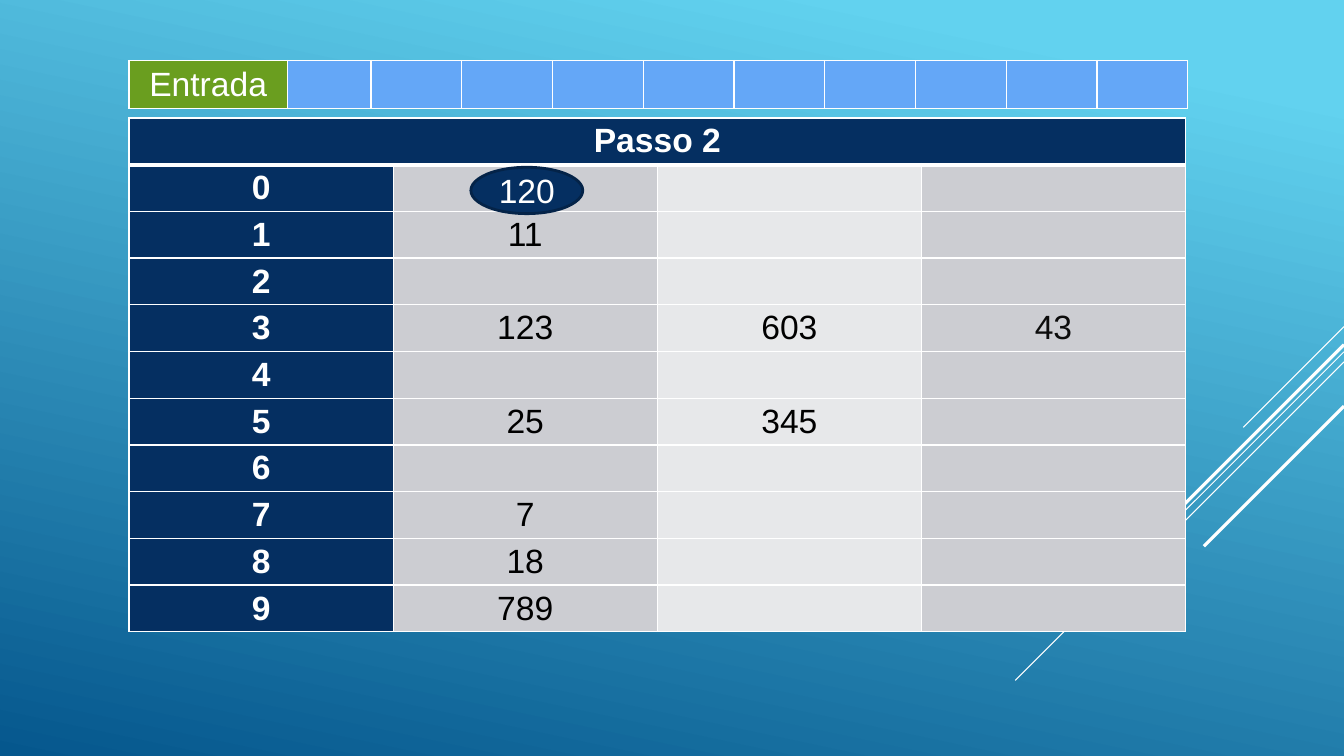
from lxml.etree import SubElement
from pptx import Presentation
from pptx.dml.color import RGBColor
from pptx.enum.shapes import MSO_CONNECTOR, MSO_SHAPE
from pptx.enum.text import MSO_ANCHOR, PP_ALIGN
from pptx.oxml.ns import qn
from pptx.util import Inches, Pt

WHITE = RGBColor(0xFF, 0xFF, 0xFF)
BLACK = RGBColor(0, 0, 0)
INK = RGBColor(0x0C, 0x0C, 0x0C)
NAVY = RGBColor(0x05, 0x2F, 0x61)
EDGE = RGBColor(0x04, 0x23, 0x48)
GREEN = RGBColor(0x6A, 0x9E, 0x1F)
BLUE = RGBColor(0x64, 0xA7, 0xF7)
GREY = RGBColor(0xCC, 0xCD, 0xD2)
PALE = RGBColor(0xE7, 0xE8, 0xEA)
SKY = RGBColor(0x62, 0xD2, 0xEF)
DEEP = RGBColor(0x05, 0x57, 0x8D)

WIDTH, HEIGHT = 13.33, 7.5
LEFT = 1.28
# Start height, run to the lower left, line width
RAYS = [(3.24, 1, 0.75), (3.49, 3.26, 0.75), (3.59, 2.07, 0.75),
        (3.42, 1.91, 2.25), (4.03, 1.39, 2.25)]
BUCKETS = [[], ["11"], [], ["123", "603", "43"], [], ["25", "345"],
           [], ["7"], ["18"], ["789"]]


class Painter:
    font = "Arial"
    size = Pt(24)

    def __init__(self, slide):
        self.slide = slide

    def ground(self):
        fill = self.slide.background.fill
        fill.gradient()
        fill.gradient_angle = 258
        for stop, color, place in zip(fill.gradient_stops, (SKY, DEEP), (0.1, 1)):
            stop.color.rgb = color
            stop.position = place

    def ray(self, top, run, width):
        line = self.slide.shapes.add_connector(
            MSO_CONNECTOR.STRAIGHT, Inches(WIDTH), Inches(top),
            Inches(WIDTH - run), Inches(top + run))
        line.line.color.rgb = WHITE
        line.line.width = Pt(width)
        SubElement(line._element.spPr, qn("a:effectLst"))

    def text(self, frame, words, color, bold=False):
        para = frame.paragraphs[0]
        para.text = words
        para.alignment = PP_ALIGN.CENTER
        font = para.font
        font.name, font.size, font.bold = self.font, self.size, bold
        font.color.rgb = color

    def table(self, top, widths, rows, height):
        frame = self.slide.shapes.add_table(
            rows, len(widths), Inches(LEFT), Inches(top),
            Inches(sum(widths)), Inches(height))
        table = frame.table
        table.first_row = table.horz_banding = False
        for col, width in zip(table.columns, widths):
            col.width = Inches(width)
        for row in table.rows:
            row.height = Inches(height / rows)
        return table

    def cell(self, cell, fill, words="", color=WHITE, bold=False, base=1):
        """Fill a cell and rule it in white; base is the bottom line's width."""
        props = cell._tc.get_or_add_tcPr()
        for side, width in zip("LRTB", (1, 1, 1, base)):
            line = SubElement(props, qn(f"a:ln{side}"), w=str(Pt(width)))
            solid = SubElement(line, qn("a:solidFill"))
            SubElement(solid, qn("a:srgbClr"), val=str(WHITE))
        cell.fill.solid()
        cell.fill.fore_color.rgb = fill
        cell.vertical_anchor = MSO_ANCHOR.MIDDLE
        cell.margin_top = cell.margin_bottom = Inches(0.04)
        if words:
            self.text(cell.text_frame, words, color, bold)

    def oval(self, left, top, width, height, words):
        oval = self.slide.shapes.add_shape(
            MSO_SHAPE.OVAL, Inches(left), Inches(top), Inches(width), Inches(height))
        oval.shadow.inherit = False
        oval.fill.solid()
        oval.fill.fore_color.rgb = NAVY
        oval.line.color.rgb = EDGE
        oval.line.width = Pt(2)
        frame = oval.text_frame
        frame.vertical_anchor = MSO_ANCHOR.MIDDLE
        self.text(frame, words, WHITE)


def main():
    deck = Presentation()
    deck.slide_width, deck.slide_height = Inches(WIDTH), Inches(HEIGHT)
    art = Painter(deck.slides.add_slide(deck.slide_layouts[6]))
    art.ground()
    for ray in RAYS:
        art.ray(*ray)

    step = art.table(1.17, [2.62] * 4, len(BUCKETS) + 1, 5.1)
    step.cell(0, 0).merge(step.cell(0, 3))
    for col in range(4):
        art.cell(step.cell(0, col), NAVY, "" if col else "Passo 2", bold=True, base=3)
    for digit, items in enumerate(BUCKETS):
        row = digit + 1
        art.cell(step.cell(row, 0), NAVY, str(digit), bold=True)
        words = items + [""] * (3 - len(items))
        looks = zip(words, (GREY, PALE, GREY), (BLACK, BLACK, INK))
        for col, (word, fill, color) in enumerate(looks, 1):
            art.cell(step.cell(row, col), fill, word, color)

    queue = art.table(0.6, [1.57, 0.83] + [0.9] * 9, 1, 0.48)
    art.cell(queue.cell(0, 0), GREEN, "Entrada")
    for col in range(1, 11):
        art.cell(queue.cell(0, col), BLUE)

    art.oval(4.67, 1.66, 1.11, 0.46, "120")
    deck.save("out.pptx")


if __name__ == "__main__":
    main()
